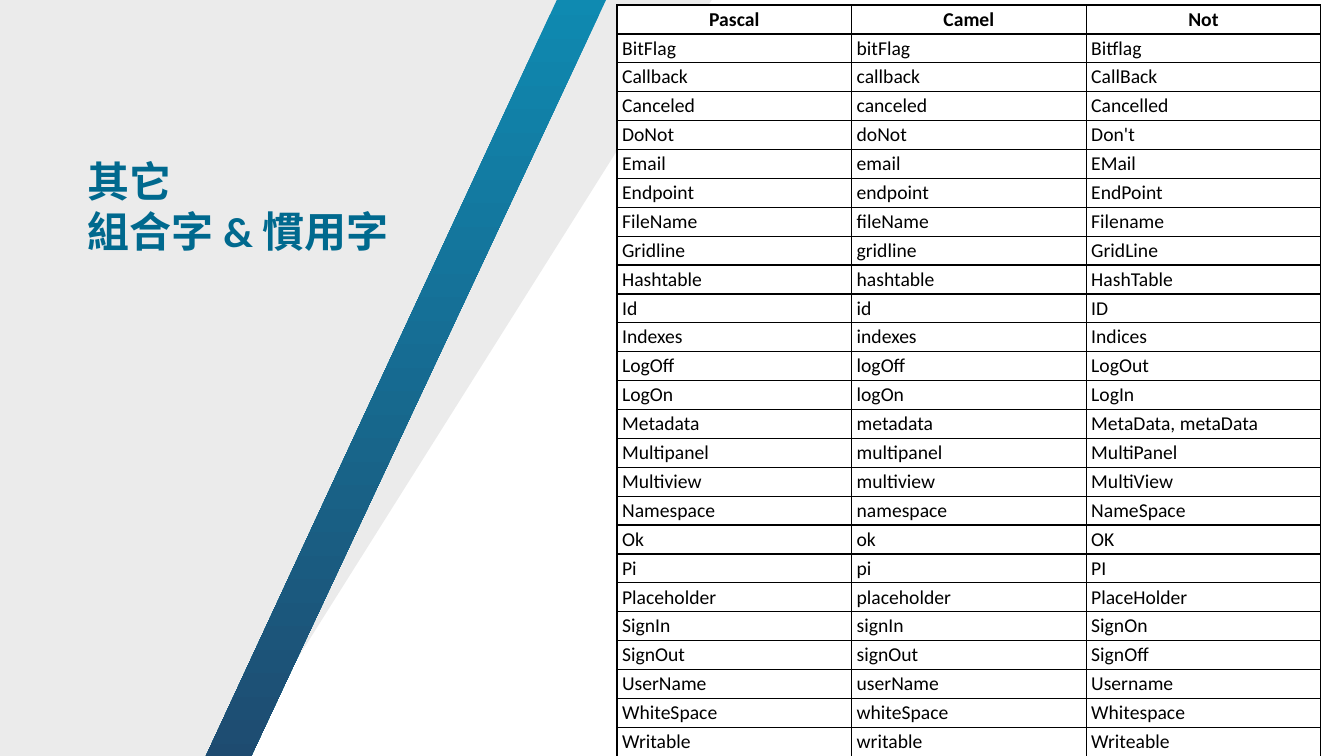
from dataclasses import dataclass

from lxml import etree
from pptx import Presentation, util as u
from pptx.dml.color import RGBColor
from pptx.enum import text
from pptx.oxml import ns

FONT = "Calibri"
BLACK, WHITE, TITLE_BLUE = "000000", "FFFFFF", "00698E"
STRIPE_TOP, STRIPE_BOTTOM = "0F8AB1", "1E4B70"
INSET = u.Inches(0.05)
HEADINGS = ("Pascal", "Camel", "Not")


@dataclass(frozen=True)
class Term:
    pascal: str
    wrong: str

    @property
    def camel(self) -> str:
        return self.pascal[0].lower() + self.pascal[1:]


@dataclass(frozen=True)
class Band:
    corners: tuple[tuple[float, float], ...]
    colors: tuple[str, ...]
    opacity: int = 100


TERMS = (
    Term("BitFlag", "Bitflag"), Term("Callback", "CallBack"),
    Term("Canceled", "Cancelled"), Term("DoNot", "Don't"),
    Term("Email", "EMail"), Term("Endpoint", "EndPoint"),
    Term("FileName", "Filename"), Term("Gridline", "GridLine"),
    Term("Hashtable", "HashTable"), Term("Id", "ID"),
    Term("Indexes", "Indices"), Term("LogOff", "LogOut"),
    Term("LogOn", "LogIn"), Term("Metadata", "MetaData, metaData"),
    Term("Multipanel", "MultiPanel"), Term("Multiview", "MultiView"),
    Term("Namespace", "NameSpace"), Term("Ok", "OK"),
    Term("Pi", "PI"), Term("Placeholder", "PlaceHolder"),
    Term("SignIn", "SignOn"), Term("SignOut", "SignOff"),
    Term("UserName", "Username"), Term("WhiteSpace", "Whitespace"),
    Term("Writable", "Writeable"),
)

BANDS = (
    Band(((0, 0), (0, 7.5), (2.33, 7.52), (7.06, 0)), (BLACK,), opacity=8),
    Band(((5.56, -0.08), (6.02, -0.02), (2.44, 7.61), (2.01, 7.57)),
         (STRIPE_TOP, STRIPE_BOTTOM)),
)


def rgb(value: str) -> RGBColor:
    return RGBColor.from_string(value)


def add_run(paragraph, words: str, size: int, color: str, bold: bool) -> None:
    run = paragraph.add_run()
    run.text = words
    run.font.name, run.font.size, run.font.bold = FONT, u.Pt(size), bold
    run.font.color.rgb = rgb(color)


def draw_band(slide, band: Band, layer: int) -> None:
    corners = [(u.Inches(x), u.Inches(y)) for x, y in band.corners]
    builder = slide.shapes.build_freeform(*corners[0])
    builder.add_line_segments(corners[1:], close=True)
    shape = builder.convert_to_shape()
    shape.shadow.inherit = False
    shape.line.fill.background()
    if len(band.colors) > 1:
        shape.fill.gradient()
        shape.fill.gradient_angle = 270
        for stop, color in zip(shape.fill.gradient_stops, band.colors):
            stop.color.rgb = rgb(color)
    else:
        shape.fill.solid()
        shape.fill.fore_color.rgb = rgb(band.colors[0])
        tint = shape._element.spPr.find(".//" + ns.qn("a:srgbClr"))
        etree.SubElement(tint, ns.qn("a:alpha"), val=str(band.opacity * 1000))
    # Bands lie behind the title and the table
    slide.shapes._spTree.insert(2 + layer, shape._element)


def add_borders(cell) -> None:
    properties = cell._tc.get_or_add_tcPr()
    for side in ("lnL", "lnR", "lnT", "lnB"):
        border = etree.SubElement(properties, ns.qn(f"a:{side}"), w=str(u.Pt(1)))
        fill = etree.SubElement(border, ns.qn("a:solidFill"))
        etree.SubElement(fill, ns.qn("a:srgbClr"), val=BLACK)


def fill_cell(cell, words: str, heading: bool) -> None:
    add_borders(cell)
    cell.fill.solid()
    cell.fill.fore_color.rgb = rgb(WHITE)
    cell.margin_left = cell.margin_right = INSET
    cell.margin_top = cell.margin_bottom = INSET // 2
    paragraph = cell.text_frame.paragraphs[0]
    paragraph.alignment = text.PP_ALIGN.CENTER if heading else text.PP_ALIGN.LEFT
    add_run(paragraph, words, 14, BLACK, heading)


def add_title(slide, lines: tuple[str, ...]) -> None:
    title = slide.shapes.title
    title.left, title.top = u.Inches(0.77), u.Inches(1.49)
    title.width, title.height = u.Inches(3.27), u.Inches(2.21)
    frame = title.text_frame
    frame.word_wrap = True
    frame.auto_size = text.MSO_AUTO_SIZE.NONE
    frame.vertical_anchor = text.MSO_ANCHOR.TOP
    for index, line in enumerate(lines):
        paragraph = frame.add_paragraph() if index else frame.paragraphs[0]
        paragraph.alignment = text.PP_ALIGN.LEFT
        paragraph.line_spacing = u.Pt(36)
        add_run(paragraph, line, 30, TITLE_BLUE, True)


def add_terms(slide) -> None:
    rows = [HEADINGS] + [(term.pascal, term.camel, term.wrong) for term in TERMS]
    terms = slide.shapes.add_table(
        len(rows), len(HEADINGS),
        u.Inches(6.12), u.Inches(0.05), u.Inches(6.98), u.Inches(7.37)).table
    terms.horz_banding = False
    for r, row in enumerate(rows):
        for c, words in enumerate(row):
            fill_cell(terms.cell(r, c), words, heading=r == 0)


def main() -> None:
    deck = Presentation()
    deck.slide_width, deck.slide_height = u.Inches(13.33), u.Inches(7.5)
    slide = deck.slides.add_slide(deck.slide_layouts.get_by_name("Title Only"))

    # Slanted background
    for layer, band in enumerate(BANDS):
        draw_band(slide, band, layer)

    # Title and naming table
    add_title(slide, ("其它", "組合字 & 慣用字"))
    add_terms(slide)
    deck.save("out.pptx")


if __name__ == "__main__":
    main()
